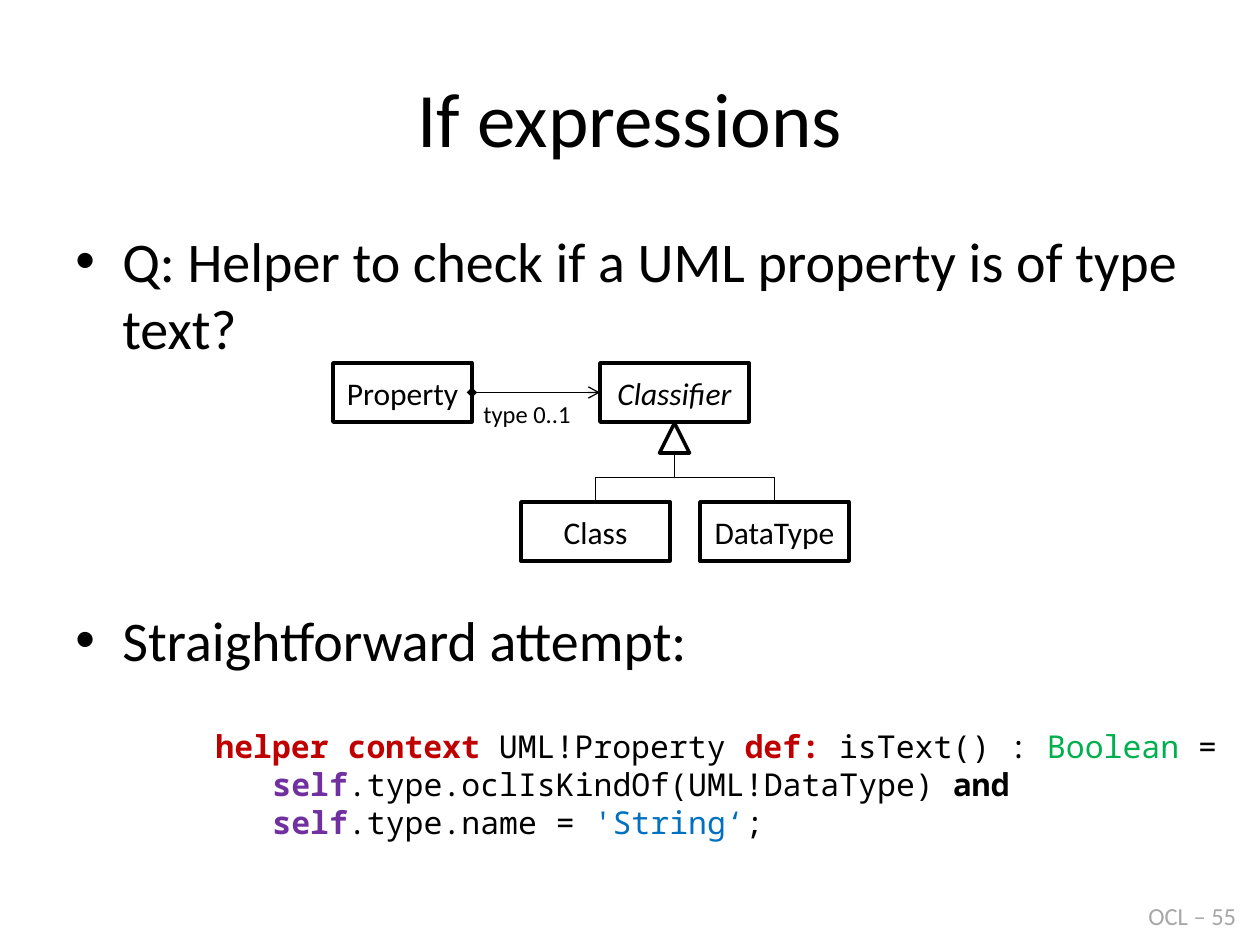
from lxml.etree import SubElement
from pptx import Presentation
from pptx.dml.color import RGBColor
from pptx.enum.shapes import MSO_CONNECTOR, MSO_SHAPE
from pptx.enum.text import MSO_ANCHOR, PP_ALIGN
from pptx.oxml.ns import qn
from pptx.util import Pt

SCALE = 914400 / 126
BLACK, WHITE, GREY = "000000", "FFFFFF", "A6A6A6"
RED, GREEN, PURPLE, BLUE = "C00000", "00B050", "7030A0", "0070C0"
SANS, MONO = "Calibri", "Noto Sans Mono"


def px(length):
    """Turn pixels into EMU."""
    return round(length * SCALE)


def colour(hex_string):
    """Turn a hex string into a colour."""
    return RGBColor.from_string(hex_string)


def add_span(para, text, size, ink=BLACK, font=SANS, bold=False, italic=False):
    """Add one formatted run to a paragraph."""
    span = para.add_run()
    span.text = text
    span.font.size, span.font.name = Pt(size), font
    span.font.bold, span.font.italic = bold, italic
    span.font.color.rgb = colour(ink)


def add_text_frame(page, left, top, width, height, wrap=True):
    """Add a text box and return its text frame."""
    frame = page.shapes.add_textbox(px(left), px(top), px(width), px(height)).text_frame
    frame.word_wrap = wrap
    return frame


def add_label(page, left, top, text, ink=BLACK):
    """Add a small one-line label."""
    frame = add_text_frame(page, left, top, 113, 43, wrap=False)
    add_span(frame.paragraphs[0], text, 14, ink)


def add_title(page, left, top, width, height, text):
    """Place and format the title placeholder."""
    title = page.shapes.title
    title.left, title.top, title.width, title.height = map(px, (left, top, width, height))
    title.text_frame.vertical_anchor = MSO_ANCHOR.MIDDLE
    para = title.text_frame.paragraphs[0]
    para.alignment = PP_ALIGN.CENTER
    add_span(para, text, 44)


def add_bullets(page, left, top, width, height, items):
    """Add bulleted paragraphs from pairs of text and space before in points."""
    frame = add_text_frame(page, left, top, width, height)
    for index, (text, before) in enumerate(items):
        para = frame.add_paragraph() if index else frame.paragraphs[0]
        para.space_before = Pt(before)
        props = para._p.get_or_add_pPr()
        props.set("marL", str(px(47)))
        props.set("indent", str(-px(47)))
        SubElement(props, qn("a:buFont"), typeface="Arial")
        SubElement(props, qn("a:buChar"), char="•")
        add_span(para, text, 32)


def add_code(page, left, top, width, height, lines):
    """Add code lines, each a pixel indent and its (text, colour, bold) spans."""
    frame = add_text_frame(page, left, top, width, height)
    for index, (indent, spans) in enumerate(lines):
        para = frame.add_paragraph() if index else frame.paragraphs[0]
        para._p.get_or_add_pPr().set("marL", str(px(indent)))
        for text, ink, bold in spans:
            add_span(para, text, 18, ink, MONO, bold)


def add_outline(page, kind, left, top, width, height):
    """Add a white shape with a black outline."""
    shape = page.shapes.add_shape(kind, px(left), px(top), px(width), px(height))
    shape.shadow.inherit = False
    shape.fill.solid()
    shape.fill.fore_color.rgb = colour(WHITE)
    shape.line.color.rgb = colour(BLACK)
    shape.line.width = Pt(2)
    return shape


def add_class_box(page, left, top, width, height, name, italic=False):
    """Add a named class box."""
    frame = add_outline(page, MSO_SHAPE.RECTANGLE, left, top, width, height).text_frame
    frame.word_wrap = False
    frame.vertical_anchor = MSO_ANCHOR.MIDDLE
    para = frame.paragraphs[0]
    para.alignment = PP_ALIGN.CENTER
    add_span(para, name, 18, italic=italic)


def add_link(page, kind, x1, y1, x2, y2):
    """Add a thin black connector without shadow."""
    link = page.shapes.add_connector(kind, px(x1), px(y1), px(x2), px(y2))
    link.line.color.rgb = colour(BLACK)
    link.line.width = Pt(0.75)
    SubElement(link._element.spPr, qn("a:effectLst"))
    return link


def add_riser(page, x1, y1, x2, y2):
    """Add an elbow that leaves the lower point (x1, y1) upwards to (x2, y2)."""
    mid_x, mid_y = (x1 + x2) / 2, (y1 + y2) / 2
    half_run, half_rise = abs(x2 - x1) / 2, (y1 - y2) / 2
    side = 1 if x1 < x2 else -1
    link = add_link(page, MSO_CONNECTOR.ELBOW,
                    mid_x + side * half_rise, mid_y + half_run,
                    mid_x - side * half_rise, mid_y - half_run)
    turn = 90 if side == 1 else 270
    link._element.spPr.find(qn("a:xfrm")).set("rot", str(turn * 60000))


def add_class_diagram(page, left, top):
    """Draw the class diagram from its top left corner."""
    wide, tall, arrow = 149, 59, 30
    parent_left, child_top = left + 267, top + 139
    centre = parent_left + wide / 2
    middle = top + tall / 2
    add_label(page, left + 138, top + 30, "type 0..1")
    add_class_box(page, left, top, 139, tall, "Property")
    add_class_box(page, parent_left, top, wide, tall, "Classifier", italic=True)
    add_outline(page, MSO_SHAPE.ISOSCELES_TRIANGLE,
                centre - arrow / 2, top + tall + 1, arrow, arrow)
    for offset, name in ((188, "Class"), (367, "DataType")):
        add_class_box(page, left + offset, child_top, wide, tall, name)
        add_riser(page, left + offset + wide / 2, child_top, centre, top + tall + arrow + 1)
    link = add_link(page, MSO_CONNECTOR.STRAIGHT, left + 139, middle, parent_left, middle)
    line = link.line._get_or_add_ln()
    SubElement(line, qn("a:headEnd"), type="diamond")
    SubElement(line, qn("a:tailEnd"), type="arrow")


def build():
    """Build the slide and save the deck."""
    deck = Presentation()
    deck.slide_width, deck.slide_height = px(1260), px(945)
    page = deck.slides.add_slide(deck.slide_layouts[5])
    add_title(page, 63, 38, 1134, 158, "If expressions")
    add_bullets(page, 63, 220, 1162, 624, [
        ("Q: Helper to check if a UML property is of type text?", 0),
        ("Straightforward attempt:", 140),
    ])
    add_code(page, 203, 721, 1030, 127, [
        (0, [("helper context ", RED, True), ("UML!Property ", BLACK, False),
             ("def: ", RED, True), ("isText() : ", BLACK, False),
             ("Boolean", GREEN, False), (" =", BLACK, False)]),
        (57, [("self", PURPLE, True),
              (".type.oclIsKindOf(UML!DataType) ", BLACK, False),
              ("and", BLACK, True)]),
        (57, [("self", PURPLE, True), (".type.name = ", BLACK, False),
              ("'String‘", BLUE, False), (";", BLACK, False)]),
    ])
    add_class_diagram(page, 333, 363)
    add_label(page, 1136, 895, "OCL – 55", GREY)
    deck.save("out.pptx")


build()
